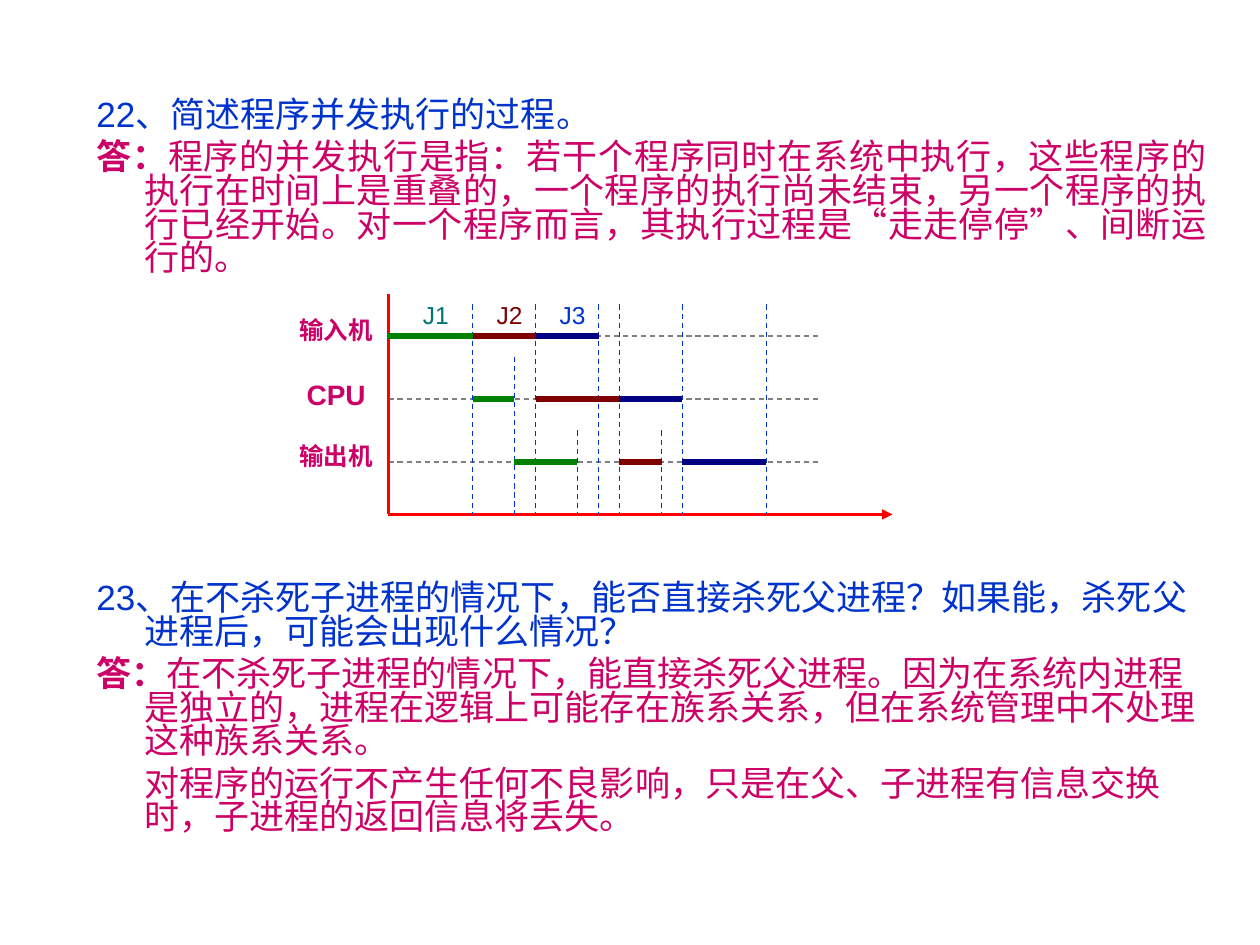
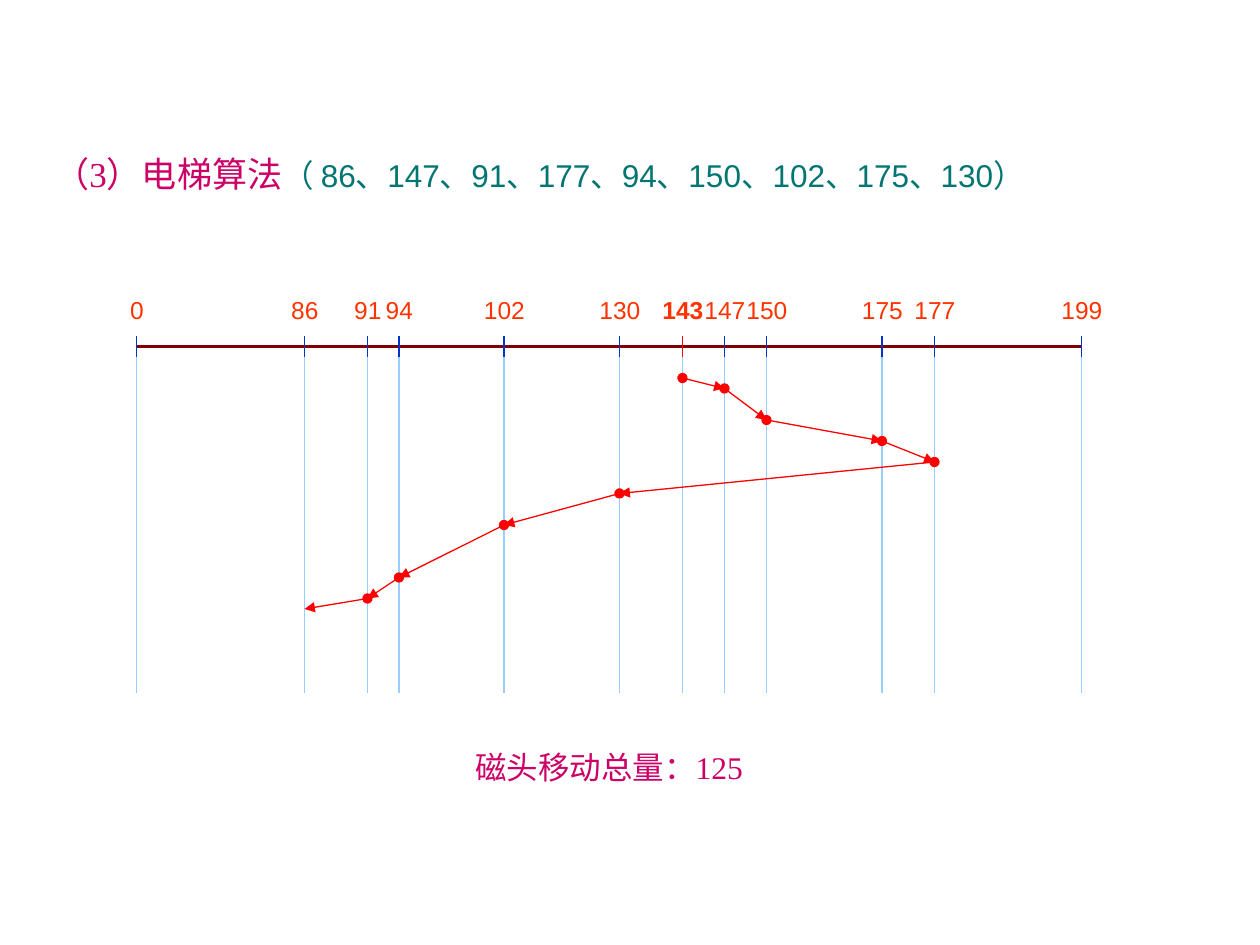
from dataclasses import dataclass

from lxml.etree import SubElement
from pptx import Presentation
from pptx.dml.color import RGBColor
from pptx.enum.dml import MSO_LINE_DASH_STYLE as Dash
from pptx.enum.lang import MSO_LANGUAGE_ID as Language
from pptx.enum.shapes import MSO_CONNECTOR as Connector
from pptx.enum.text import MSO_ANCHOR as Anchor, PP_ALIGN as Align
from pptx.oxml.ns import qn
from pptx.slide import Slide
from pptx.util import Inches, Length, Pt

COLORS = {
    "question": "0033CC",
    "answer": "CC0066",
    "teal": "007572",
    "green": "008000",
    "maroon": "800000",
    "navy": "000080",
    "red": "FF0000",
    "orange": "FF3300",
    "gray": "808080",
    "sky": "99CCFF",
}
SANS = "Arial"
SERIF = "Times New Roman"
STEPS_PER_INCH = 12
STEP = 1 / STEPS_PER_INCH
INSETS = (0.1, 0.05)
NO_INSETS = (0, 0)


@dataclass(frozen=True)
class Span:
    text: str
    color: str
    size: float
    font: str = SANS
    bold: bool = False


@dataclass(frozen=True)
class Para:
    spans: tuple[Span, ...]
    format: dict
    margin: float = 0
    indent: float = 0


@dataclass(frozen=True)
class Stroke:
    color: str
    width: float = 0.75
    dashed: bool = False
    head: str = ""
    tail: str = ""


@dataclass(frozen=True)
class Burst:
    device: str
    start: int
    end: int
    guide_top: float = 2.42


@dataclass(frozen=True)
class Job:
    name: str
    label_left: float
    label_color: str
    bar_color: str
    bursts: tuple[Burst, ...]


@dataclass(frozen=True)
class Device:
    name: str
    y: float
    size: float


CENTERED = {"alignment": Align.CENTER}
ESSAY = {"line_spacing": 0.8, "space_before": Pt(5)}
JUSTIFIED = ESSAY | {"alignment": Align.JUSTIFY}

DEVICES = (Device("输出机", 3.67, 14), Device("CPU", 3.17, 16), Device("输入机", 2.67, 14))
JOBS = (
    Job("J1", 3.25, "teal", "green",
        (Burst("输入机", 0, 8), Burst("CPU", 8, 12, 2.83), Burst("输出机", 12, 18, 3.42))),
    Job("J2", 3.83, "maroon", "maroon",
        (Burst("输入机", 8, 14), Burst("CPU", 14, 22), Burst("输出机", 22, 26, 3.42))),
    Job("J3", 4.33, "question", "navy",
        (Burst("输入机", 14, 20), Burst("CPU", 22, 28), Burst("输出机", 28, 36))),
)
TIME_LEFT, TIME_BOTTOM = 3.08, 4.08

TRACK_STEPS = {0: 0, 86: 16, 91: 22, 94: 25, 102: 35, 130: 46,
               143: 52, 147: 56, 150: 60, 175: 71, 177: 76, 199: 90}
HEAD_START = 143
HEAD_ROWS = {143: 0, 147: 1, 150: 4, 175: 6, 177: 8,
             130: 11, 102: 14, 94: 19, 91: 21, 86: 22}
TRACK_LEFT, HEAD_TOP = 1.08, 3.0


def snap(length: float) -> Length:
    return Inches(round(length * STEPS_PER_INCH) / STEPS_PER_INCH)


def add_text(page: Slide, place: tuple[float, ...], paras: tuple[Para, ...],
             anchor: Anchor = Anchor.TOP, insets: tuple[float, float] = INSETS,
             wrap: bool = True) -> None:
    left, top, width, height = place
    box = page.shapes.add_textbox(snap(left), snap(top), Inches(width), Inches(height))
    frame = box.text_frame
    side, end = map(Inches, insets)
    frame_format = {"word_wrap": wrap, "vertical_anchor": anchor, "margin_left": side,
                    "margin_right": side, "margin_top": end, "margin_bottom": end}
    for name, value in frame_format.items():
        setattr(frame, name, value)
    for index, item in enumerate(paras):
        para = frame.add_paragraph() if index else frame.paragraphs[0]
        for name, value in item.format.items():
            setattr(para, name, value)
        if item.margin:
            properties = para._p.get_or_add_pPr()
            properties.set("marL", str(Inches(item.margin)))
            properties.set("indent", str(Inches(item.indent)))
            properties.set("hangingPunct", "0")
        for span in item.spans:
            run = para.add_run()
            run.text = span.text
            font_format = {"name": span.font, "size": Pt(span.size), "bold": span.bold,
                           "language_id": Language.SIMPLIFIED_CHINESE}
            for name, value in font_format.items():
                setattr(run.font, name, value)
            run.font.color.rgb = RGBColor.from_string(COLORS[span.color])


def add_label(page: Slide, place: tuple[float, ...], span: Span) -> None:
    add_text(page, place, (Para((span,), CENTERED),), Anchor.MIDDLE, NO_INSETS, False)


def add_line(page: Slide, start: tuple[float, float], end: tuple[float, float],
             stroke: Stroke) -> None:
    connector = page.shapes.add_connector(Connector.STRAIGHT, *map(snap, start + end))
    line = connector.line
    line.color.rgb = RGBColor.from_string(COLORS[stroke.color])
    line.width = Pt(stroke.width)
    if stroke.dashed:
        line.dash_style = Dash.DASH
    for tag, kind in (("a:headEnd", stroke.head), ("a:tailEnd", stroke.tail)):
        if kind:
            SubElement(line._get_or_add_ln(), qn(tag), type=kind)
    SubElement(connector._element.spPr, qn("a:effectLst"))


def question(text: str, para_format: dict) -> Para:
    return Para((Span(text, "question", 20),), para_format, 0.38, -0.38)


def answer(text: str, para_format: dict) -> Para:
    spans = (Span("答：", "answer", 20, SERIF, True), Span(text, "answer", 20, SERIF))
    return Para(spans, para_format, 0.38, -0.38)


def time_x(time: int) -> float:
    return TIME_LEFT + time * STEP


def draw_schedule(page: Slide) -> None:
    for device in DEVICES:
        add_line(page, (TIME_LEFT, device.y), (time_x(41), device.y),
                 Stroke("gray", dashed=True))
        name = Span(device.name, "answer", device.size, bold=True)
        add_text(page, (2.33, device.y - 0.17, 0.67, 0.33), (Para((name,), CENTERED),),
                 insets=NO_INSETS)
    origin = (TIME_LEFT, TIME_BOTTOM)
    add_line(page, (TIME_LEFT, 2.33), origin, Stroke("red", 1.5))
    add_line(page, origin, (time_x(48), TIME_BOTTOM), Stroke("red", 1.5, tail="triangle"))
    for job in JOBS:
        for burst in job.bursts:
            x = time_x(burst.end)
            add_line(page, (x, burst.guide_top), (x, TIME_BOTTOM),
                     Stroke("question", dashed=True))
    rows = {device.name: device.y for device in DEVICES}
    for job in JOBS:
        for burst in job.bursts:
            y = rows[burst.device]
            add_line(page, (time_x(burst.start), y), (time_x(burst.end), y),
                     Stroke(job.bar_color, 3))
        add_label(page, (job.label_left, 2.33, 0.42, 0.33),
                  Span(job.name, job.label_color, 14))


def build_concurrency(page: Slide) -> None:
    add_text(page, (0.67, 0.75, 9.01, 1.67), (
        question("22、简述程序并发执行的过程。", JUSTIFIED),
        answer("程序的并发执行是指：若干个程序同时在系统中执行，这些程序的执行在时间上是重叠的，"
               "一个程序的执行尚未结束，另一个程序的执行已经开始。对一个程序而言，"
               "其执行过程是“走走停停”、间断运行的。", JUSTIFIED),
    ))
    effect = Span("对程序的运行不产生任何不良影响，只是在父、子进程有信息交换时，"
                  "子进程的返回信息将丢失。", "answer", 20, SERIF)
    add_text(page, (0.67, 4.58, 9.01, 2.33), (
        question("23、在不杀死子进程的情况下，能否直接杀死父进程？如果能，"
                 "杀死父进程后，可能会出现什么情况？", ESSAY),
        answer("在不杀死子进程的情况下，能直接杀死父进程。因为在系统内进程是独立的，"
               "进程在逻辑上可能存在族系关系，但在系统管理中不处理这种族系关系。", ESSAY),
        Para((effect,), ESSAY, 0.38),
    ))
    draw_schedule(page)


def track_x(track: int) -> float:
    return TRACK_LEFT + TRACK_STEPS[track] * STEP


def draw_tracks(page: Slide) -> None:
    add_line(page, (track_x(0), 2.75), (track_x(199), 2.75), Stroke("maroon", 2.25))
    for track in TRACK_STEPS:
        x = track_x(track)
        is_start = track == HEAD_START
        add_line(page, (x, 2.67), (x, 2.83), Stroke("red" if is_start else "question"))
        add_label(page, (x - 0.17, 2.33, 0.34, 0.25),
                  Span(str(track), "orange", 14, bold=is_start))
        add_line(page, (x, 2.83), (x, 5.5), Stroke("sky"))


def draw_head_moves(page: Slide) -> None:
    stops = [(track_x(track), HEAD_TOP + row * STEP) for track, row in HEAD_ROWS.items()]
    for start, end in zip(stops, stops[1:]):
        add_line(page, start, end, Stroke("red", head="oval", tail="triangle"))


def build_elevator(page: Slide) -> None:
    title = Para((
        Span("（3）电梯算法", "answer", 20, SERIF),
        Span("（ ", "teal", 18, SERIF),
        Span("86、147、91、177、94、150、102、175、130）", "teal", 18),
    ), {})
    add_text(page, (0.33, 0.75, 9.34, 1.25), (title,), Anchor.MIDDLE)
    draw_tracks(page)
    draw_head_moves(page)
    add_label(page, (2.08, 5.83, 5.5, 0.5),
              Span("磁头移动总量：125", "answer", 18, SERIF))


def main() -> None:
    deck = Presentation()
    deck.slide_width, deck.slide_height = Inches(10), Inches(7.5)
    for build in (build_concurrency, build_elevator):
        build(deck.slides.add_slide(deck.slide_layouts[6]))
    deck.save("out.pptx")


if __name__ == "__main__":
    main()
